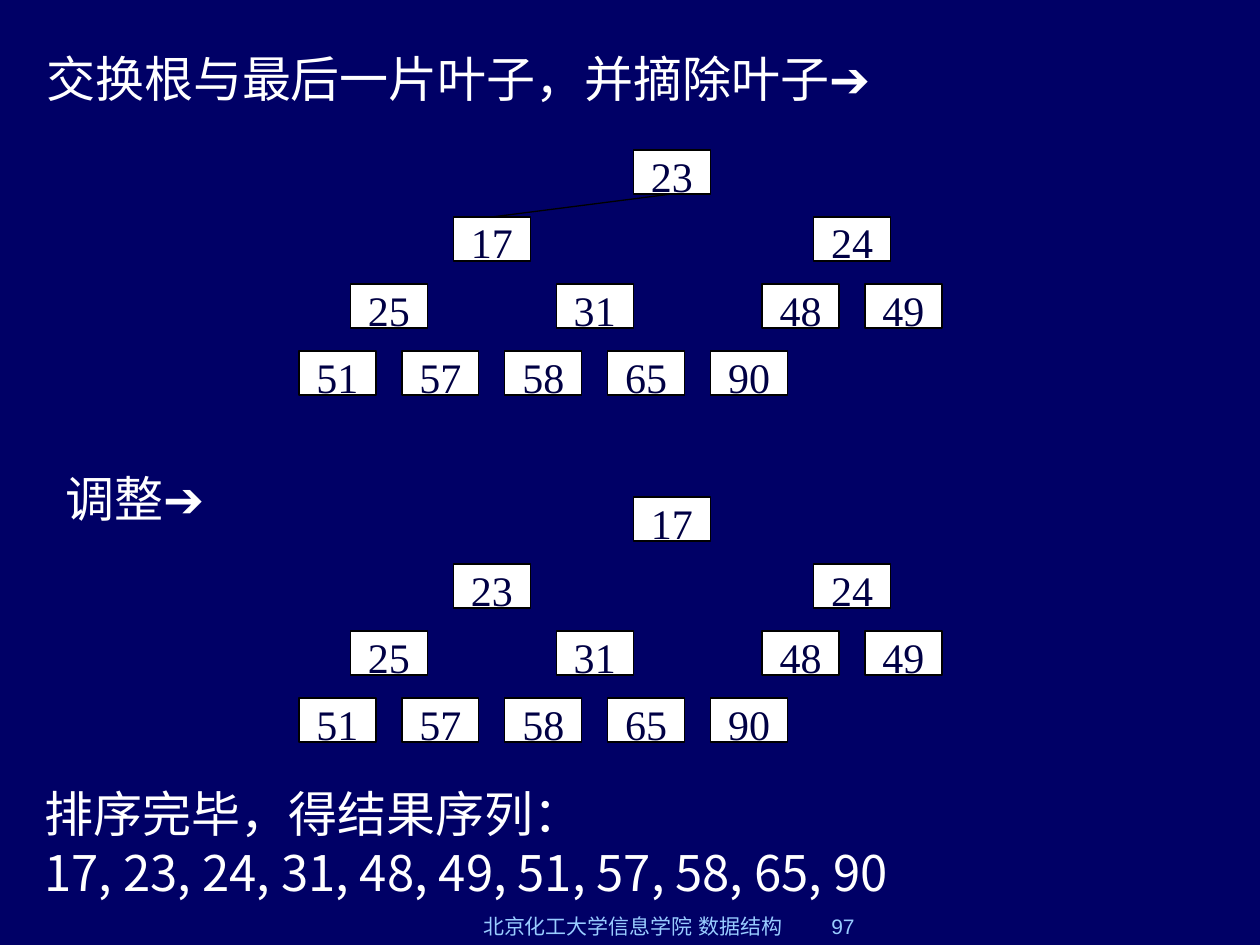
from dataclasses import dataclass

from lxml.etree import SubElement
from pptx import Presentation
from pptx.dml.color import RGBColor
from pptx.enum.shapes import MSO_CONNECTOR, MSO_SHAPE
from pptx.enum.text import MSO_ANCHOR, MSO_AUTO_SIZE, PP_ALIGN
from pptx.oxml.ns import qn
from pptx.util import Emu, Pt


@dataclass(frozen=True)
class Theme:
    background: RGBColor = RGBColor(0x00, 0x00, 0x66)
    text: RGBColor = RGBColor(0xFF, 0xFF, 0xFF)
    node_fill: RGBColor = RGBColor(0xFF, 0xFF, 0xFF)
    node_text: RGBColor = RGBColor(0x00, 0x00, 0x44)
    line: RGBColor = RGBColor(0x00, 0x00, 0x00)
    footer: RGBColor = RGBColor(0x99, 0xCC, 0xFF)
    body_font: str = "Noto Sans CJK SC"
    node_font: str = "Times New Roman"
    arial: str = "Arial"
    body_size: Pt = Pt(28)
    node_size: Pt = Pt(24)
    footer_size: Pt = Pt(12)
    line_width: Pt = Pt(0.75)


THEME = Theme()
PX_PER_INCH = 126
NODE_W, NODE_H = 77, 44
SLOTS = (6.5, 3, 10, 1, 5, 9, 11, 0, 2, 4, 6, 8)
LAST_SLOT = 11
LAST_LEVEL = 3


def px(n):
    return Emu(round(n * 914400 / PX_PER_INCH))


def style(font, size, color, name=None):
    font.size = size
    font.color.rgb = color
    if name:
        font.name = name


def set_typeface(r, name):
    r.font.name = name
    SubElement(r._r.get_or_add_rPr(), qn("a:ea"), typeface=name)


def add_text(slide, box, paragraphs, size, color, wrap=True,
             anchor=MSO_ANCHOR.TOP, aligns=(PP_ALIGN.LEFT,)):
    sp = slide.shapes.add_textbox(*map(px, box))
    tf = sp.text_frame
    tf.word_wrap = wrap
    tf.vertical_anchor = anchor
    for i, runs in enumerate(paragraphs):
        p = tf.add_paragraph() if i else tf.paragraphs[0]
        p.alignment = aligns[i % len(aligns)]
        style(p.font, size, color)
        for text, name in runs:
            r = p.add_run()
            r.text = text
            set_typeface(r, name)
    return sp


def add_body(slide, box, paragraphs, **options):
    sp = add_text(slide, box, paragraphs, THEME.body_size, THEME.text, **options)
    sp.text_frame.auto_size = MSO_AUTO_SIZE.SHAPE_TO_FIT_TEXT


def add_step(slide, box, text, wrap=True):
    add_body(slide, box, [[(text, THEME.body_font), ("➔", THEME.arial)]], wrap=wrap)


def add_node(group, x, y, value):
    sp = group.shapes.add_shape(MSO_SHAPE.RECTANGLE, px(x), px(y), px(NODE_W), px(NODE_H))
    sp.shadow.inherit = False
    sp.fill.solid()
    sp.fill.fore_color.rgb = THEME.node_fill
    sp.line.color.rgb = THEME.line
    sp.line.width = THEME.line_width
    tf = sp.text_frame
    tf.margin_left = tf.margin_right = tf.margin_top = tf.margin_bottom = 0
    tf.vertical_anchor = MSO_ANCHOR.TOP
    p = tf.paragraphs[0]
    p.alignment = PP_ALIGN.CENTER
    style(p.font, THEME.node_size, THEME.node_text, THEME.node_font)
    p.add_run().text = str(value)
    return sp


def add_edge(group, parent, child):
    line = group.shapes.add_connector(MSO_CONNECTOR.STRAIGHT, parent.left, parent.top,
                                      child.left, child.top)
    line.begin_connect(parent, 2)
    line.end_connect(child, 0)
    line.line.color.rgb = THEME.line
    line.line.width = THEME.line_width
    SubElement(line._element.spPr, qn("a:effectLst"))


def add_heap(slide, box, values, edges=()):
    left, top, width, height = box
    slot_step = (width - NODE_W) / LAST_SLOT
    level_step = (height - NODE_H) / LAST_LEVEL
    group = slide.shapes.add_group_shape()
    nodes = []
    for i, (slot, value) in enumerate(zip(SLOTS, values), start=1):
        level = i.bit_length() - 1
        nodes.append(add_node(group, left + slot * slot_step, top + level * level_step, value))
    for parent, child in edges:
        add_edge(group, nodes[parent], nodes[child])


def add_result(slide, box, values):
    lines = ["排序完毕，得结果序列：", ", ".join(map(str, values))]
    add_body(slide, box, [[(line, THEME.body_font)] for line in lines],
             aligns=(PP_ALIGN.JUSTIFY, PP_ALIGN.LEFT))


def add_footer(slide, box):
    left, top, width, height = box
    parts = [
        (0, 364, "北京化工大学信息学院 数据结构", PP_ALIGN.CENTER),
        (368, width - 368, "97", PP_ALIGN.LEFT),
    ]
    for x, w, text, align in parts:
        add_text(slide, (left + x, top, w, height), [[(text, THEME.arial)]],
                 THEME.footer_size, THEME.footer, anchor=MSO_ANCHOR.BOTTOM, aligns=(align,))


def main():
    prs = Presentation()
    prs.slide_width, prs.slide_height = px(1260), px(945)
    slide = prs.slides.add_slide(prs.slide_layouts[6])
    slide.background.fill.solid()
    slide.background.fill.fore_color.rgb = THEME.background

    lower = [24, 25, 31, 48, 49, 51, 57, 58, 65, 90]
    add_step(slide, (34, 42, 881, 72), "交换根与最后一片叶子，并摘除叶子", wrap=False)
    add_step(slide, (53, 462, 1260, 72), "调整")
    add_heap(slide, (299, 150, 643, 245), [23, 17] + lower, edges=[(0, 1)])
    add_heap(slide, (299, 497, 643, 245), [17, 23] + lower)
    add_result(slide, (32, 777, 1260, 131), [17, 23, 24, 31, 48, 49, 51, 57, 58, 65, 90])
    add_footer(slide, (451, 914, 630, 31))
    prs.save("out.pptx")


if __name__ == "__main__":
    main()
